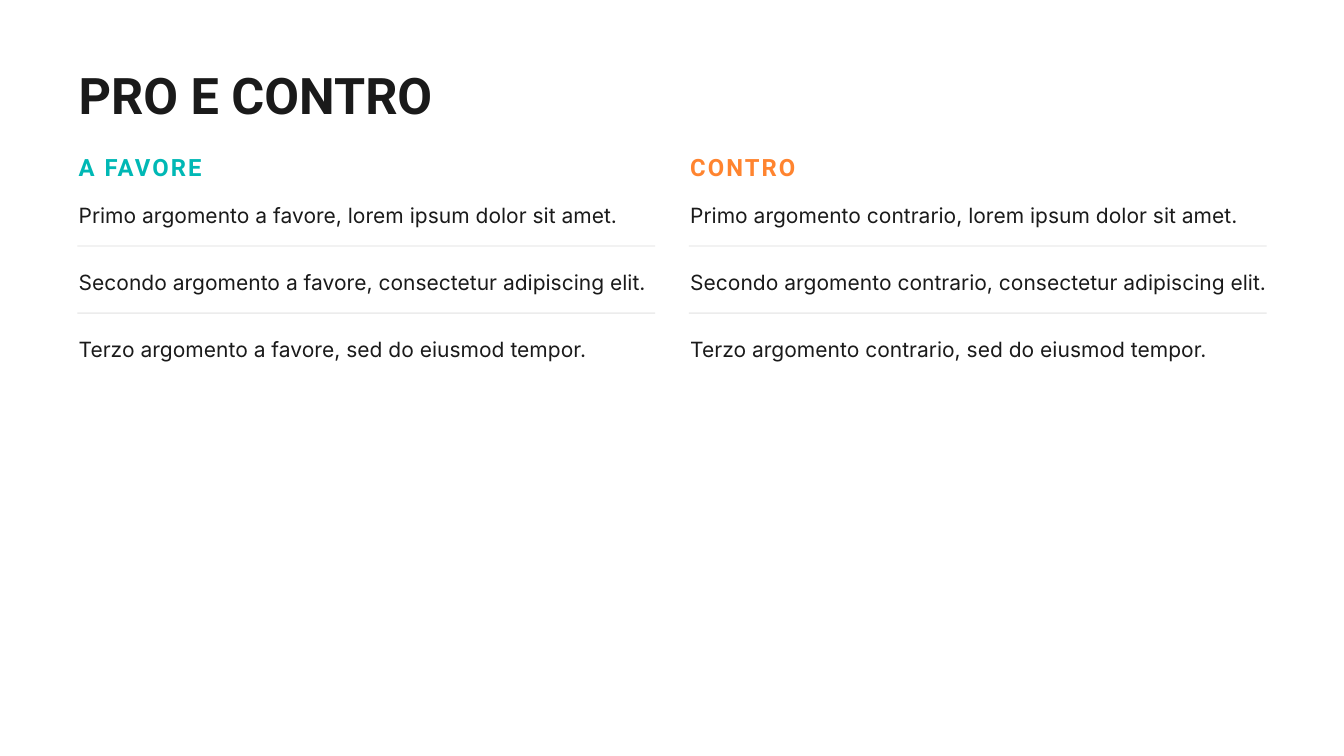
from pptx import Presentation
from pptx.dml.color import RGBColor
from pptx.enum.shapes import MSO_SHAPE as Shape
from pptx.enum.text import MSO_AUTO_SIZE as AutoSize
from pptx.util import Inches, Pt

COLORS = {
    "background": "FFFFFF",
    "ink": "1A1A1A",
    "favor": "00B8B5",
    "against": "FF842F",
    "divider": "ECECEC",
}

MARGIN = 1.15
COLUMN_PITCH = 9.1
COLUMN_WIDTH = 8.6
TEXT_INSET = 0.02
FIRST_ROW = 2.93
ROW_PITCH = 1
DIVIDER_OFFSET = 0.72

presentation = Presentation()
presentation.slide_width = Inches(20)
presentation.slide_height = Inches(11.25)
slide = presentation.slides.add_slide(presentation.slide_layouts[6])
slide.background.fill.solid()
slide.background.fill.fore_color.rgb = RGBColor.from_string(COLORS["background"])


def add_text(text, left, top, width, height, *, size, leading, font="Roboto",
             color="ink", bold=False, spacing=0):
    box = slide.shapes.add_textbox(Inches(left), Inches(top), Inches(width), Inches(height))
    frame = box.text_frame
    frame.word_wrap = True
    frame.auto_size = AutoSize.SHAPE_TO_FIT_TEXT
    frame.margin_left = frame.margin_right = frame.margin_top = frame.margin_bottom = 0
    paragraph = frame.paragraphs[0]
    paragraph.line_spacing = Pt(leading)
    run = paragraph.add_run()
    run.text = text
    run.font.name = font
    run.font.size = Pt(size)
    run.font.bold = bold
    run.font.color.rgb = RGBColor.from_string(COLORS[color])
    if spacing:
        run.font._element.set("spc", str(round(spacing * 100)))


add_text("PRO E CONTRO", MARGIN + TEXT_INSET, 1.1, 19.42, 0.66,
         size=54, leading=54.2, bold=True)

columns = [
    ("A FAVORE", "favor", [
        "Primo argomento a favore, lorem ipsum dolor sit amet.",
        "Secondo argomento a favore, consectetur adipiscing elit.",
        "Terzo argomento a favore, sed do eiusmod tempor.",
    ]),
    ("CONTRO", "against", [
        "Primo argomento contrario, lorem ipsum dolor sit amet.",
        "Secondo argomento contrario, consectetur adipiscing elit.",
        "Terzo argomento contrario, sed do eiusmod tempor.",
    ]),
]

for column, (heading, color, arguments) in enumerate(columns):
    left = MARGIN + column * COLUMN_PITCH
    text_left = left + TEXT_INSET
    add_text(heading, text_left, 2.27, 9.41, 0.42,
             size=25.5, leading=30.6, color=color, bold=True, spacing=2.2)

    for row, argument in enumerate(arguments):
        top = FIRST_ROW + row * ROW_PITCH
        is_last = row == len(arguments) - 1
        if not is_last:
            divider = slide.shapes.add_shape(
                Shape.RECTANGLE, Inches(left), Inches(top + DIVIDER_OFFSET),
                Inches(COLUMN_WIDTH), Inches(0.02))
            divider.shadow.inherit = False
            divider.fill.solid()
            divider.fill.fore_color.rgb = RGBColor.from_string(COLORS["divider"])
            divider.line.fill.background()
        add_text(argument, text_left, top, 9.41 if is_last else 8.81, 0.5,
                 size=22.5, leading=32.6, font="Inter")

presentation.save("out.pptx")
